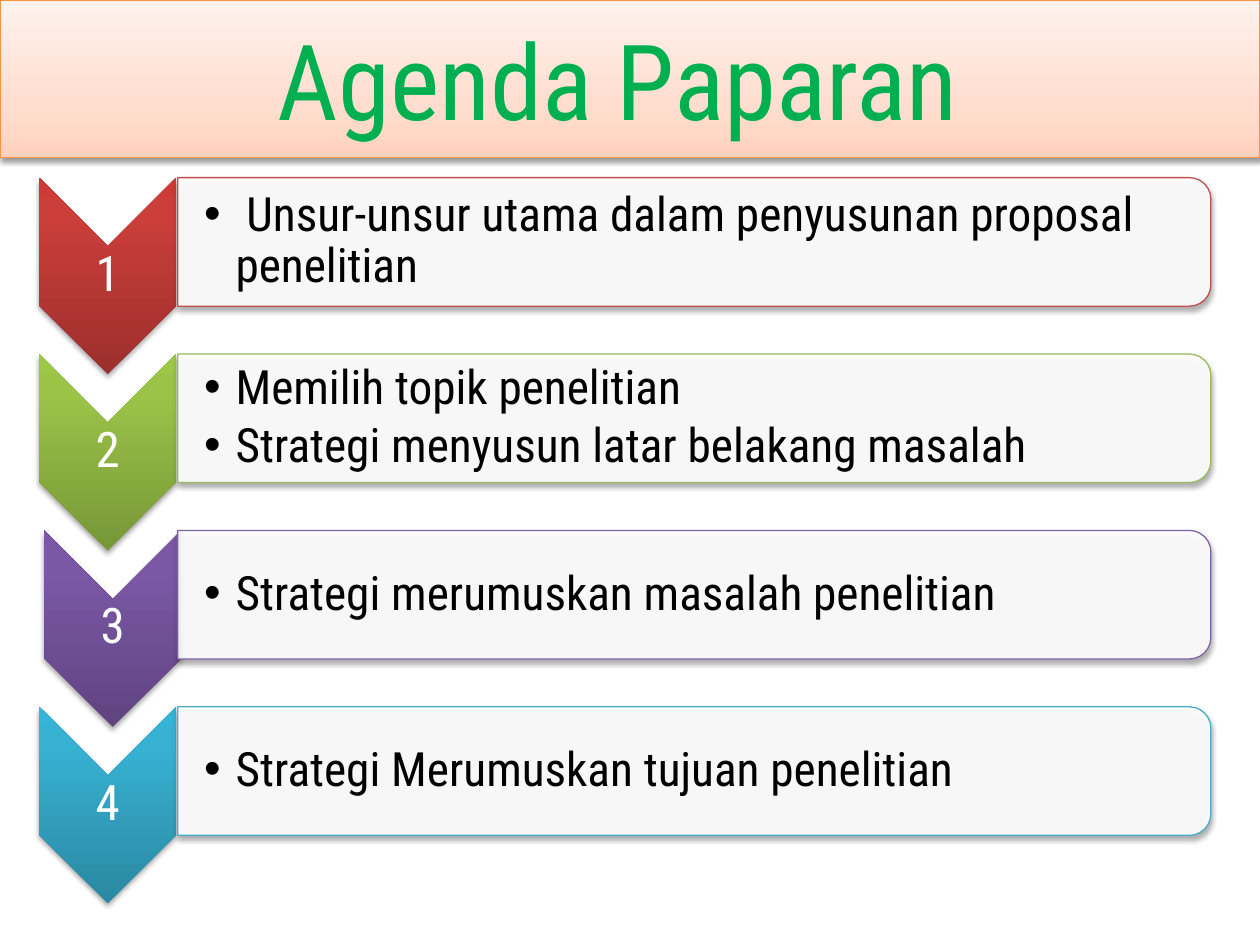
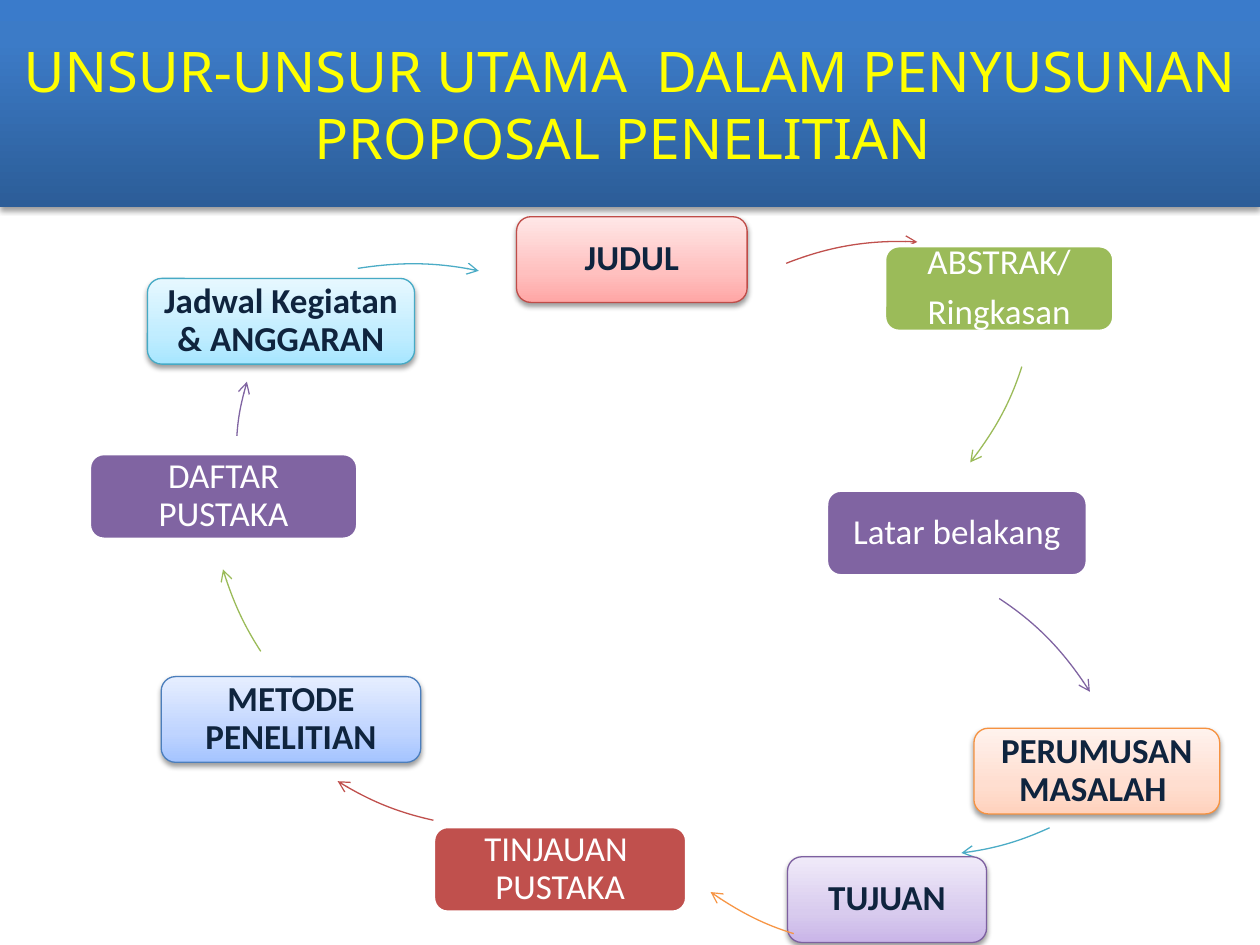
"""Build the agenda slide and the proposal cycle slide."""
from lxml.etree import SubElement
from pptx import Presentation
from pptx.dml.color import RGBColor
from pptx.enum.shapes import MSO_SHAPE
from pptx.enum.text import MSO_ANCHOR, PP_ALIGN
from pptx.oxml.ns import qn
from pptx.util import Inches, Pt

WHITE, BLACK, NAVY = "FFFFFF", "000000", "0F243E"
RED, GREEN, PURPLE, TEAL, ORANGE = "C0504D", "9BBB59", "8064A2", "4BACC6", "F79646"
CONDENSED = "Roboto Condensed"
STRONG, SOFT = (0, 80, 100), (0, 35, 100)
PEACH_FILL, PEACH_LINE = ("FFD2BD", "FFDED0", "FFF2ED"), "F69240"
BLUE_FILL = ("2C5D98", "3C7BC7", "3A7BCB")

AGENDA = [
    (" Unsur-unsur utama dalam penyusunan proposal penelitian ", RED, ("9C2F2D", "CB3E3A", "CE3B37"), 0.31),
    ("Memilih topik penelitian\nStrategi menyusun latar belakang masalah ", GREEN,
     ("779737", "9BC348", "9DC746"), 0.31),
    ("Strategi merumuskan masalah penelitian ", PURPLE, ("5F4480", "7B58A6", "7C57A8"), 0.35),
    ("Strategi Merumuskan tujuan penelitian", TEAL, ("2A88A2", "37B1D2", "34B4D6"), 0.31),
]
ROW_TOP, ROW_STEP = 1.41, 1.4

NODES = [
    ("JUDUL", 4.1, 1.72, 1.83, ("FFA6A5", "FFC0BF", "FFE7E7"), "BF4C48"),
    ("ABSTRAK/\nRingkasan", 7.02, 1.95, 1.82, GREEN, None),
    ("Latar belakang", 6.56, 3.89, 2.07, PURPLE, None),
    ("PERUMUSAN MASALAH ", 7.73, 5.78, 1.95, PEACH_FILL, PEACH_LINE),
    ("TUJUAN", 6.25, 6.8, 1.58, ("C9B5E8", "D8CBEE", "F0EAF9"), "7D60A0"),
    ("TINJAUAN  PUSTAKA", 3.44, 6.56, 2.01, RED, None),
    ("METODE PENELITIAN", 1.28, 5.37, 2.06, ("A4C4FF", "BFD4FF", "E6EEFF"), "4B7EBC"),
    ("DAFTAR PUSTAKA", 0.71, 3.6, 2.13, PURPLE, None),
    ("Jadwal Kegiatan & ANGGARAN", 1.17, 2.21, 2.12, ("A7E6FF", "C1EDFF", "E7F8FF"), "46AAC5"),
]
CIRCLE = 5.25
ARROWS = [
    (RED, (4.55, 1.91), (6.24, 2.09), (6.57, 1.96), (6.92, 1.9), (7.28, 1.92)),
    (GREEN, (2.99, -0.55), (8.11, 2.91), (8.02, 3.19), (7.88, 3.44), (7.7, 3.67)),
    (PURPLE, (3.82, 4.29), (7.93, 4.75), (8.22, 4.94), (8.46, 5.19), (8.65, 5.49)),
    (TEAL, (4.64, 1.55), (8.33, 6.57), (8.11, 6.67), (7.88, 6.74), (7.63, 6.77)),
    (ORANGE, (4.51, 2.3), (6.3, 7.41), (6.07, 7.34), (5.84, 7.22), (5.64, 7.08)),
    (RED, (1.42, 1.34), (3.44, 6.51), (3.17, 6.45), (2.92, 6.35), (2.68, 6.2)),
    (GREEN, (1.66, 1.15), (2.07, 5.17), (1.94, 4.97), (1.84, 4.75), (1.77, 4.52)),
    (PURPLE, (1.87, 1.08), (1.88, 3.46), (1.89, 3.31), (1.92, 3.17), (1.96, 3.03)),
    (TEAL, (0.66, 2.1), (2.84, 2.13), (3.16, 2.08), (3.48, 2.08), (3.8, 2.15)),
]


def rgb(value):
    return RGBColor.from_string(value)


def add_color(parent, color, alpha=None):
    clr = SubElement(parent, qn("a:srgbClr"), val=color)
    if alpha is not None:
        SubElement(clr, qn("a:alpha"), val=str(alpha * 1000))


def set_gradient(sp, colors, stops):
    sp.fill.gradient()
    sp.fill.gradient_angle = 90
    grad = sp._element.spPr.find(qn("a:gradFill"))
    grad.set("rotWithShape", "0")
    stop_list = grad.find(qn("a:gsLst"))
    for old in list(stop_list):
        stop_list.remove(old)
    for pos, color in zip(stops, colors):
        add_color(SubElement(stop_list, qn("a:gs"), pos=str(pos * 1000)), color)


def add_shadow(sp, alpha):
    effects = sp._element.spPr.find(qn("a:effectLst"))
    outer = SubElement(effects, qn("a:outerShdw"), blurRad=str(Pt(3.1)), dist=str(Pt(1.8)),
                       dir="5400000", rotWithShape="0")
    add_color(outer, BLACK, alpha)


def set_line(sp, color, width=0.75):
    if color is None:
        sp.line.fill.background()
    else:
        sp.line.color.rgb = rgb(color)
        sp.line.width = Pt(width)


def add_box(s, kind, x, y, w, h, fill, line=None, width=0.75, stops=STRONG, shadow=None, turned=False):
    if turned:
        x, y, w, h = x + (w - h) / 2, y + (h - w) / 2, h, w
    sp = s.shapes.add_shape(kind, Inches(x), Inches(y), Inches(w), Inches(h))
    sp.rotation = 90 if turned else 0
    sp.shadow.inherit = False
    if isinstance(fill, tuple):
        set_gradient(sp, fill, stops)
    else:
        sp.fill.solid()
        sp.fill.fore_color.rgb = rgb(fill)
    set_line(sp, line, width)
    if shadow:
        add_shadow(sp, shadow)
    return sp


def write(sp, text, size, font, color, bold=False, align=PP_ALIGN.CENTER, spacing=0.9, after=0.0,
          insets=(0.02, 0.02, 0.02, 0.02), bullet=False):
    tf = sp.text_frame
    tf.word_wrap = True
    tf.vertical_anchor = MSO_ANCHOR.MIDDLE
    tf.margin_left, tf.margin_top, tf.margin_right, tf.margin_bottom = map(Inches, insets)
    tf.text = text
    for p in tf.paragraphs:
        p.alignment = align
        p.line_spacing = spacing
        p.space_after = Pt(round(size * after))
        if bullet:
            ppr = p._p.get_or_add_pPr()
            ppr.set("marL", str(Inches(0.25)))
            ppr.set("indent", str(-Inches(0.25)))
            SubElement(ppr, qn("a:buFont"), typeface="Arial")
            SubElement(ppr, qn("a:buChar"), char="•")
        for r in p.runs:
            r.font.size, r.font.name, r.font.bold = Pt(size), font, bold
            r.font.color.rgb = rgb(color)


def add_text(s, x, y, w, h, *args, **kwargs):
    write(s.shapes.add_textbox(Inches(x), Inches(y), Inches(w), Inches(h)), *args, **kwargs)


def add_title(s, text, height, fill, line, stops, size, font, color):
    sp = add_box(s, MSO_SHAPE.RECTANGLE, 0, 0, 10, height, fill, line, stops=stops, shadow=38)
    write(sp, text, size, font, color, spacing=1.0, insets=(0.1, 0.05, 0.1, 0.05))


def add_arc(s, color, corner, *points):
    left, top = corner
    start, *rest = [(Inches(x - left), Inches(y - top)) for x, y in points]
    builder = s.shapes.build_freeform(*start)
    builder.add_line_segments(rest, close=False)
    sp = builder.convert_to_shape()
    sp.shadow.inherit = False
    sp.fill.background()
    set_line(sp, color)
    segments = list(sp._element.iter(qn("a:lnTo")))
    outline = segments[0].getparent()
    curve = SubElement(outline, qn("a:cubicBezTo"))
    for segment in segments:
        curve.append(segment[0])
        outline.remove(segment)
    for pt, (x, y) in zip(outline.iter(qn("a:pt")), [start, *rest]):
        pt.set("x", str(x))
        pt.set("y", str(y))
    outline.set("w", str(Inches(CIRCLE)))
    outline.set("h", str(Inches(CIRCLE)))
    sp.left, sp.top = Inches(left), Inches(top)
    sp.width = sp.height = Inches(CIRCLE)
    SubElement(sp.line._get_or_add_ln(), qn("a:tailEnd"), type="arrow")


def build_agenda(s):
    add_title(s, "Agenda Paparan ", 1.25, PEACH_FILL, PEACH_LINE, SOFT, 60, CONDENSED, "00B050")
    for i, (text, color, fill, x) in enumerate(AGENDA):
        y = ROW_TOP + i * ROW_STEP
        add_box(s, MSO_SHAPE.CHEVRON, x, y, 1.09, 1.56, fill, shadow=35, turned=True)
        add_text(s, x, y + 0.54, 1.09, 0.47, str(i + 1), 28, CONDENSED, WHITE)
        bar = add_box(s, MSO_SHAPE.ROUND_2_SAME_RECTANGLE, 1.41, y, 8.2, 1.02, WHITE, color,
                      shadow=35, turned=True)
        solid = bar._element.spPr.find(qn("a:solidFill"))
        SubElement(solid[0], qn("a:alpha"), val="90000")
        add_text(s, 1.41, y + 0.05, 8.15, 0.92, text, 27, CONDENSED, BLACK, align=PP_ALIGN.LEFT,
                 after=0.15, insets=(0.21, 0.02, 0.02, 0.02), bullet=True)


def build_cycle(s):
    add_title(s, "UNSUR-UNSUR UTAMA  DALAM PENYUSUNAN PROPOSAL PENELITIAN ", 1.64, BLUE_FILL, None,
              STRONG, 32, "Noto Sans", "FFFF00")
    for (text, x, y, w, fill, line), arrow in zip(NODES, ARROWS):
        soft = line is not None
        sp = add_box(s, MSO_SHAPE.ROUNDED_RECTANGLE, x, y, w, 0.68, fill, line or WHITE,
                     0.75 if soft else 2, SOFT, 38 if soft else None)
        write(sp, text, 20, "Calibri", NAVY if soft else WHITE, soft, after=0.35, insets=(0.08,) * 4)
        add_arc(s, *arrow)


prs = Presentation()
prs.slide_width, prs.slide_height = Inches(10), Inches(7.5)
for build in (build_agenda, build_cycle):
    build(prs.slides.add_slide(prs.slide_layouts[6]))
prs.save("out.pptx")
